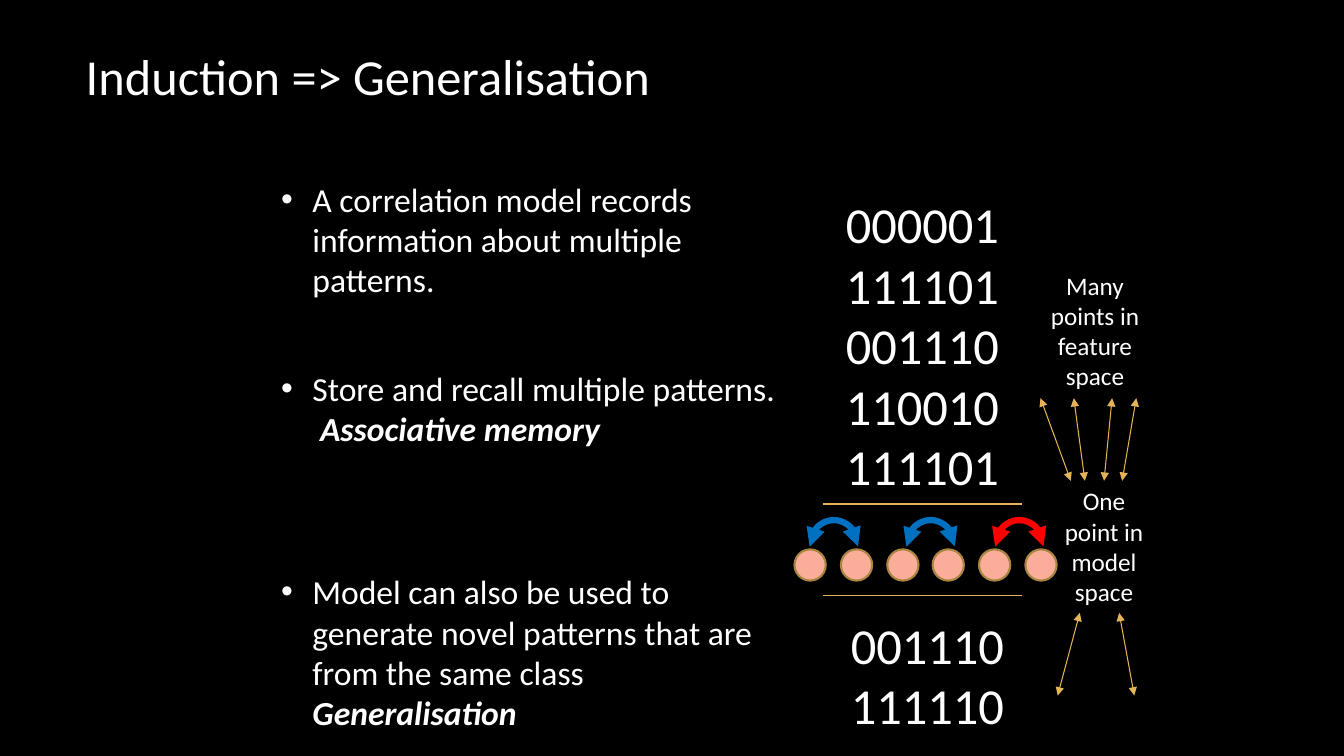
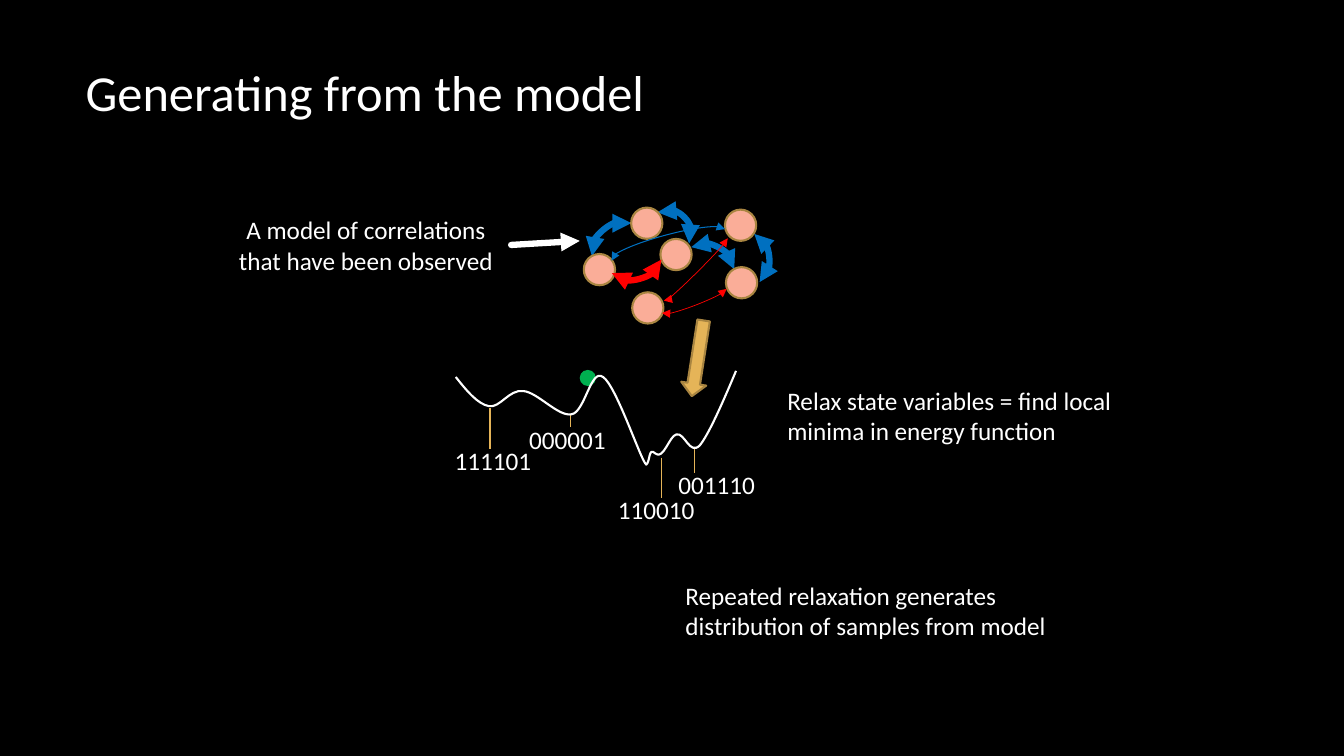
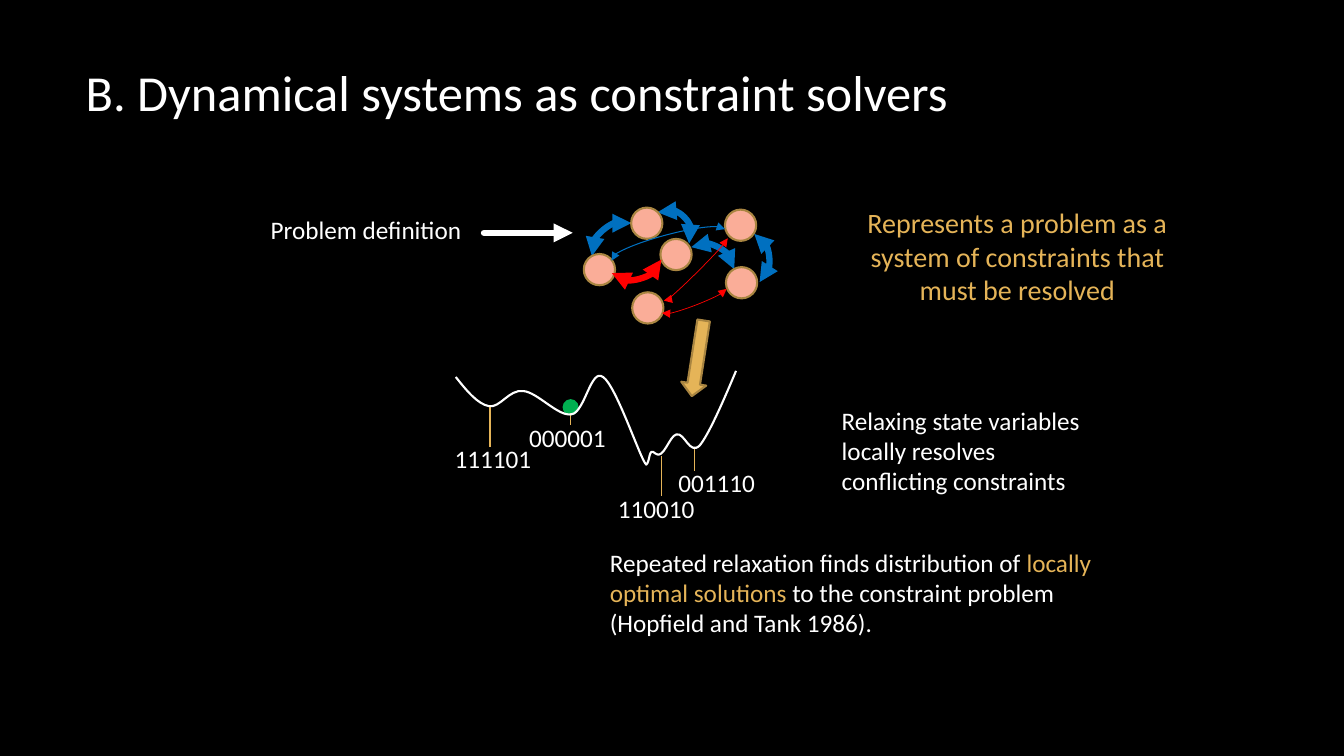
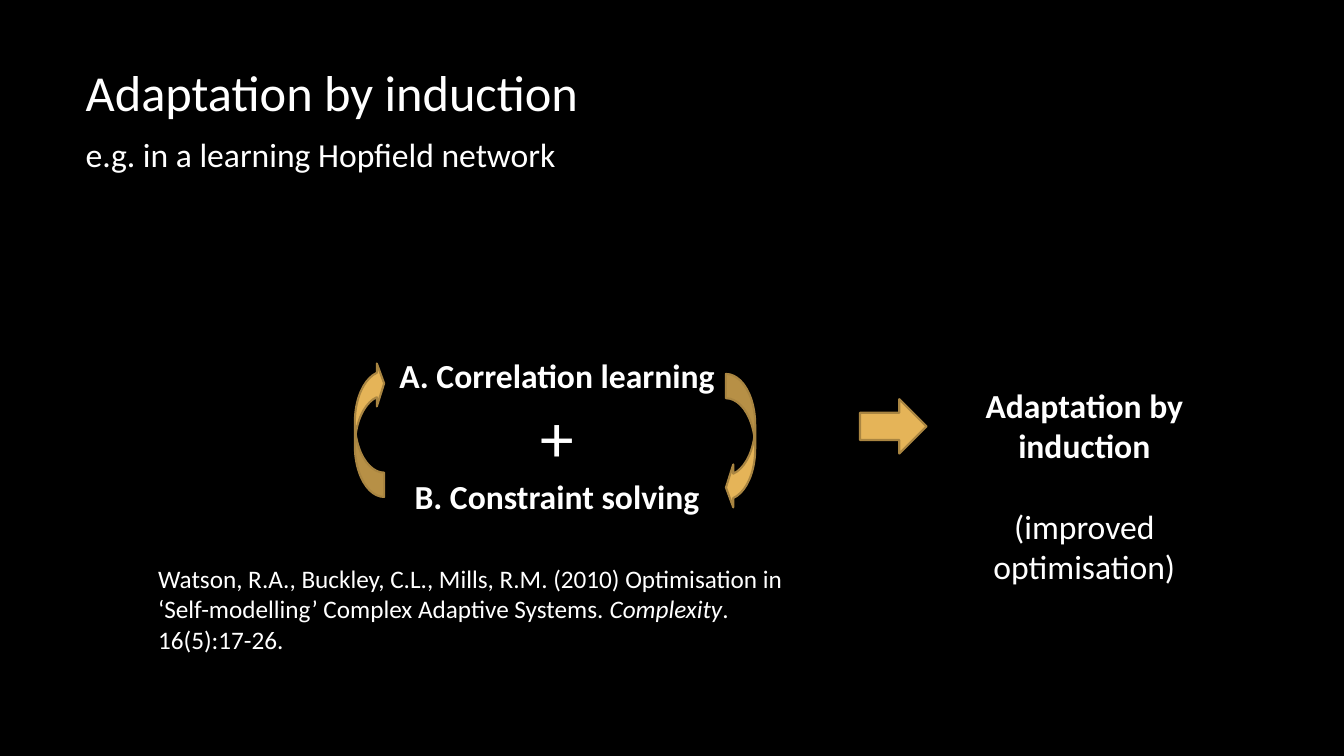
import pptx
import pptx.dml.color
import pptx.enum.shapes
import pptx.enum.text
import pptx.oxml.ns
import pptx.util
from lxml import etree

Inches = pptx.util.Inches
Pt = pptx.util.Pt
SHAPE = pptx.enum.shapes.MSO_SHAPE
ALIGN = pptx.enum.text.PP_ALIGN
ANCHOR = pptx.enum.text.MSO_ANCHOR
qn = pptx.oxml.ns.qn

FONT = "Calibri"
COLORS = {
    "background": "000000",
    "text": "FFFFFF",
    "accent": "E5B458",
    "accent_edge": "A98541",
    "node": "FAAD98",
    "positive": "0070C0",
    "negative": "FF0000",
    "ball": "00B050",
}
NODE_SIZE = 0.31
BALL_SIZE = 0.16
BOLD = {"bold": True}
BOLD_ITALIC = {"bold": True, "italic": True}

# Patterns at the minima: label position, then stem x, top and bottom
MINIMA = [
    ("000001", 0.63, 0.48, 1.14, 0.44, 0.56),
    ("110010", 1.51, 1.18, 2.04, 0.86, 1.26),
    ("111101", -0.11, 0.69, 0.34, 0.37, 0.77),
    ("001110", 2.11, 0.93, 2.37, 0.77, 1.01),
]
# Start point, then three Bezier points for each stretch of the curve
ENERGY_CURVE = [
    (0, 0.06),
    (0.11, 0.2), (0.22, 0.33), (0.33, 0.35),
    (0.44, 0.37), (0.53, 0.18), (0.67, 0.2),
    (0.81, 0.21), (1.02, 0.46), (1.15, 0.43),
    (1.28, 0.41), (1.34, -0.03), (1.46, 0.06),
    (1.59, 0.14), (1.84, 0.9), (1.89, 0.93),
    (1.93, 0.9), (1.91, 0.75), (1.98, 0.82),
    (2.06, 0.89), (2.12, 0.64), (2.19, 0.63),
    (2.27, 0.61), (2.32, 0.84), (2.42, 0.74),
    (2.51, 0.63), (2.65, 0.31), (2.78, 0),
]
NETWORK_NODES = [(0, 0.46), (0.47, 0), (0.76, 0.31), (0.48, 0.84), (1.4, 0.02), (1.41, 0.59)]
# Box, rotation, colour, weight, flipped
LINKS_BEHIND = [
    ((0.02, 0.19, 0.51, 0.25), 320.6, "positive", 4.5, False),
    ((1.04, 0.38, 0.48, 0.24), 27.7, "positive", 4.5, False),
    ((0.67, 0.05, 0.44, 0.3), 45.2, "positive", 4.5, False),
]
LINKS_IN_FRONT = [
    ((0.27, 0.46, 0.51, 0.25), 344.2, "negative", 4.5, True),
    ((0.65, 0.6, 0.91, 0.05), 315.2, "negative", 0.5, True),
    ((0.75, 0.89, 0.69, 0.08), 339, "negative", 0.5, True),
    ((0.25, 0.27, 1.17, 0.19), 345, "positive", 0.75, False),
    ((1.48, 0.38, 0.48, 0.24), 84.2, "positive", 4.5, False),
]


def rgb(color):
    return pptx.dml.color.RGBColor.from_string(COLORS[color])


def lengths(values):
    return [Inches(round(value, 2)) for value in values]


def format_font(font, color="text", **values):
    font.name = FONT
    font.color.rgb = rgb(color)
    for name, value in values.items():
        setattr(font, name, value)


def format_line(line, color, weight, ends=()):
    line.color.rgb = rgb(color)
    line.width = Pt(weight)
    for end in ends:
        etree.SubElement(line._ln, qn("a:" + end), type="triangle")


def add_bullet(paragraph):
    properties = paragraph._p.get_or_add_pPr()
    properties.set("marL", str(Inches(0.81)))
    properties.set("indent", str(Inches(-0.31)))
    etree.SubElement(properties, qn("a:buFont"), typeface="Arial")
    etree.SubElement(properties, qn("a:buChar"), char="•")


def add_text(slide, box, paragraphs, size=18, align=ALIGN.LEFT, color="text",
             anchor=ANCHOR.TOP, bulleted=False, gaps=None):
    """Each paragraph is a list of (text, font values); gaps maps its index to points before it."""
    frame = slide.shapes.add_textbox(*lengths(box)).text_frame
    frame.word_wrap = True
    frame.vertical_anchor = anchor
    for index, runs in enumerate(paragraphs):
        paragraph = frame.paragraphs[0] if index == 0 else frame.add_paragraph()
        if bulleted:
            add_bullet(paragraph)
        paragraph.alignment = align
        if gaps and index in gaps:
            paragraph.space_before = Pt(gaps[index])
        for text, values in runs:
            if text == "\n":
                paragraph.add_line_break()
                continue
            run = paragraph.add_run()
            run.text = text
            format_font(run.font, **{"size": Pt(size), "color": color, **values})


def plain(*texts):
    return [[(text, {})] for text in texts]


def add_shape(slide, kind, box, fill=None, edge=None, weight=1.5, ends=(), rotation=0,
              adjustments=()):
    shape = slide.shapes.add_shape(kind, *lengths(box))
    shape.shadow.inherit = False
    shape.rotation = rotation
    for index, value in enumerate(adjustments):
        shape.adjustments[index] = value
    if fill:
        shape.fill.solid()
        shape.fill.fore_color.rgb = rgb(fill)
    else:
        shape.fill.background()
    if edge:
        format_line(shape.line, edge, weight, ends)
    else:
        shape.line.fill.background()
    return shape


def add_line(slide, start, end, color="accent", weight=0.75, ends=()):
    connector = slide.shapes.add_connector(
        pptx.enum.shapes.MSO_CONNECTOR.STRAIGHT, *lengths([*start, *end]))
    format_line(connector.line, color, weight, ends)
    etree.SubElement(connector._element.spPr, qn("a:effectLst"))
    return connector


def add_node(slide, left, top):
    add_shape(slide, SHAPE.OVAL, (left, top, NODE_SIZE, NODE_SIZE), "node", "accent_edge")


def add_link(slide, box, color, weight=4.5, rotation=0, flipped=False):
    link = add_shape(slide, SHAPE.ARC, box, None, color, weight, ("headEnd", "tailEnd"),
                     rotation, (107.363, 0))
    if flipped:
        link._element.spPr.get_or_add_xfrm().set("flipV", "1")


def add_block_arrow(slide, box, rotation=0):
    add_shape(slide, SHAPE.RIGHT_ARROW, box, "accent", "accent_edge", rotation=rotation)


def add_pointer(slide, start, end):
    pointer = add_line(slide, start, end, "text", 4.5, ("tailEnd",))
    pointer.line._ln.set("cap", "rnd")


def new_slide(prs, title, anchor=ANCHOR.MIDDLE):
    slide = prs.slides.add_slide(prs.slide_layouts[5])
    heading = slide.shapes.title
    heading.left, heading.top, heading.width, heading.height = lengths((0.75, 0.4, 11.08, 1.01))
    heading.text = title
    heading.text_frame.vertical_anchor = anchor
    paragraph = heading.text_frame.paragraphs[0]
    paragraph.alignment = ALIGN.LEFT
    format_font(paragraph.runs[0].font, size=Pt(36))
    return slide


def correlation_chain(slide, left, top):
    """Row of six nodes with three links above them."""
    for offset, color in ((0.15, "positive"), (1.11, "positive"), (1.99, "negative")):
        add_link(slide, (left + offset, top, 0.48, 0.52), color)
    for index in range(6):
        add_node(slide, left + 0.458 * index, top + 0.29)


def correlation_network(slide, left, top):
    def add_links(links):
        for (x, y, width, height), rotation, color, weight, flipped in links:
            add_link(slide, (left + x, top + y, width, height), color, weight, rotation, flipped)

    add_links(LINKS_BEHIND)
    for x, y in NETWORK_NODES:
        add_node(slide, left + x, top + y)
    add_links(LINKS_IN_FRONT)
    add_block_arrow(slide, (left + 0.75, top + 1.37, 0.76, 0.25), 98.9)


def energy_curve(slide, left, top):
    points = [lengths((left + x, top + y)) for x, y in ENERGY_CURVE]
    builder = slide.shapes.build_freeform(*points[0])
    builder.add_line_segments(points[1:], close=False)
    curve = builder.convert_to_shape()
    curve.shadow.inherit = False
    curve.fill.background()
    format_line(curve.line, "text", 1.5)
    segments = list(curve._element.iter(qn("a:lnTo")))
    outline = segments[0].getparent()
    for index in range(0, len(segments), 3):
        bezier = etree.SubElement(outline, qn("a:cubicBezTo"))
        for segment in segments[index:index + 3]:
            bezier.append(segment[0])
            outline.remove(segment)


def energy_landscape(slide, left, top, ball, label_shift=0):
    x, y = ball
    add_shape(slide, SHAPE.OVAL, (left + x, top + y, BALL_SIZE, BALL_SIZE), "ball")
    for pattern, x, y, stem, stem_top, stem_bottom in MINIMA:
        shifted = top + label_shift
        add_text(slide, (left + x, shifted + y, 1.03, 0.4), plain(pattern))
        add_line(slide, (left + stem, shifted + stem_top), (left + stem, shifted + stem_bottom))
    energy_curve(slide, left, top)


def space_arrows(slide, top, bottom, spans):
    for upper, lower in spans:
        add_line(slide, (upper, top), (lower, bottom), ends=("headEnd", "tailEnd"))


def generalisation_slide(prs):
    slide = new_slide(prs, "Induction => Generalisation", ANCHOR.TOP)
    add_text(slide, (2.19, 1.87, 5.75, 5.3), [
        [("A correlation model records information about multiple patterns.", {})],
        [("Store and recall multiple patterns.", {}), ("\n", {}),
         (" Associative memory", BOLD_ITALIC)],
        [("Model can also be used to generate novel patterns that are from the same class ", {}),
         ("Generalisation", BOLD_ITALIC)],
    ], 24, anchor=ANCHOR.MIDDLE, bulleted=True, gaps={1: 48.8, 2: 87.6})
    for rule_top in (5, 5.91):
        add_line(slide, (8.16, rule_top), (10.14, rule_top))
    add_text(slide, (8.29, 1.87, 1.85, 3.13),
             plain("000001", "111101", "001110", "110010", "111101"), 36)
    add_text(slide, (8.34, 6.04, 1.85, 1.31), plain("001110", "111110"), 36)
    add_text(slide, (10.2, 2.63, 1.32, 1.31), plain("Many points in feature space"),
             align=ALIGN.CENTER)
    add_text(slide, (10.35, 4.77, 1.2, 1.31), plain("One point in model space"),
             align=ALIGN.CENTER)
    space_arrows(slide, 3.95, 4.77,
                 [(10.32, 10.62), (10.65, 10.76), (11.03, 10.95), (11.27, 11.13)])
    space_arrows(slide, 6.08, 6.9, [(10.71, 10.49), (11.1, 11.25)])
    correlation_chain(slide, 7.88, 5.16)


def generating_slide(prs):
    slide = new_slide(prs, "Generating from the model")
    energy_landscape(slide, 4.52, 3.68, (1.23, -0.01))
    correlation_network(slide, 5.79, 2.06)
    add_text(slide, (2.2, 2.08, 2.86, 0.71),
             plain("A model of correlations that have been observed"), align=ALIGN.CENTER)
    add_text(slide, (7.71, 3.77, 3.48, 0.71),
             plain("Relax state variables = find local minima in energy function"))
    add_text(slide, (6.7, 5.71, 4.49, 0.71),
             plain("Repeated relaxation generates distribution of samples from model"))
    add_pointer(slide, (5.07, 2.43), (5.75, 2.39))


def constraint_slide(prs):
    slide = new_slide(prs, "B. Dynamical systems as constraint solvers")
    energy_landscape(slide, 4.52, 3.68, (1.06, 0.28), -0.02)
    correlation_network(slide, 5.79, 2.06)
    add_text(slide, (8.35, 1.99, 3.48, 1.11),
             plain("Represents a problem as a system of constraints that must be resolved"),
             20, ALIGN.CENTER, "accent")
    add_text(slide, (8.25, 3.97, 2.68, 1.01),
             plain("Relaxing state variables locally resolves conflicting constraints"))
    add_text(slide, (5.95, 5.38, 5, 1.01), [[
        ("Repeated relaxation finds distribution of ", {}),
        ("locally optimal solutions ", {"color": "accent"}),
        ("to the constraint problem (Hopfield and Tank 1986).", {}),
    ]])
    add_text(slide, (2.2, 2.08, 2.86, 0.4), plain("Problem definition"), align=ALIGN.CENTER)
    add_pointer(slide, (4.8, 2.31), (5.68, 2.31))


def adaptation_slide(prs):
    slide = new_slide(prs, "Adaptation by induction")
    add_text(slide, (9.19, 3.77, 3.13, 2.12),
             [[("Adaptation by induction", BOLD)], [("(improved optimisation)", {})]],
             24, ALIGN.CENTER, gaps={1: 28.8})
    add_text(slide, (3.66, 3.47, 3.73, 2.12), [
        [("A. Correlation learning", BOLD)],
        [("+", {"size": Pt(48)})],
        [("B. Constraint solving", BOLD)],
    ], 24, ALIGN.CENTER)
    add_block_arrow(slide, (8.53, 3.96, 0.66, 0.54))
    for left, top, rotation in ((7.2, 3.71, 0), (3.52, 3.59, 180)):
        add_shape(slide, SHAPE.CURVED_LEFT_ARROW, (left, top, 0.29, 1.34), "accent",
                  "accent_edge", rotation=rotation, adjustments=(0.833, 1.47, 0.25))
    add_text(slide, (0.75, 1.28, 4.91, 0.5), plain("e.g. in a learning Hopfield network"), 24)
    add_text(slide, (1.47, 5.54, 6.67, 1.01), [[
        ("Watson, R.A., Buckley, C.L., Mills, R.M. (2010) Optimisation in "
         "‘Self-modelling’ Complex Adaptive Systems. ", {}),
        ("Complexity", {"italic": True}),
        (". 16(5):17-26.", {}),
    ]])


def main():
    prs = pptx.Presentation()
    prs.slide_width, prs.slide_height = lengths((13.33, 7.5))
    background = prs.slide_master.background.fill
    background.solid()
    background.fore_color.rgb = rgb("background")
    for build in (generalisation_slide, generating_slide, constraint_slide, adaptation_slide):
        build(prs)
    prs.save("out.pptx")


if __name__ == "__main__":
    main()
